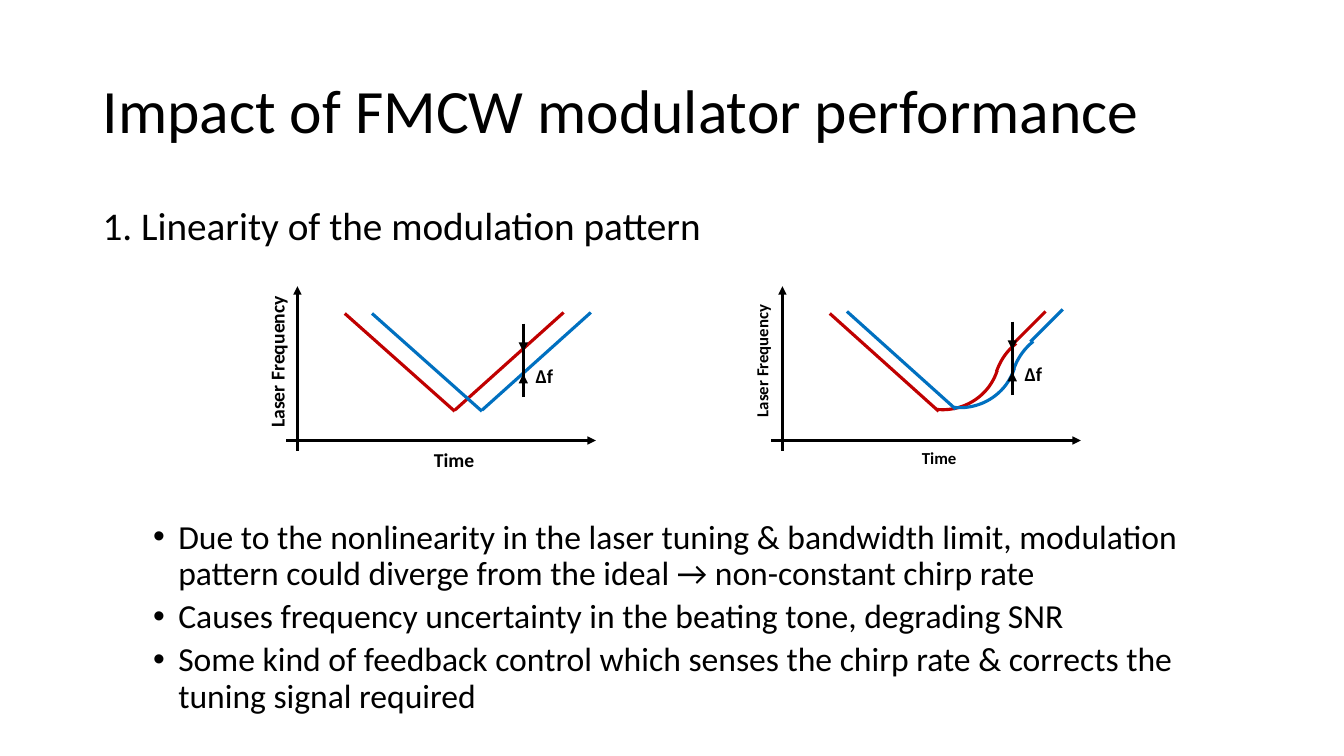
import pptx
import pptx.util
import pptx.dml.color
import pptx.enum.shapes
import pptx.enum.text
from lxml import etree
from pptx.oxml.ns import qn

TITLE = "Impact of FMCW modulator performance"
HEADING = "1. Linearity of the modulation pattern"
BULLETS = [
    "Due to the nonlinearity in the laser tuning & bandwidth limit, modulation "
    "pattern could diverge from the ideal → non-constant chirp rate",
    "Causes frequency uncertainty in the beating tone, degrading SNR",
    "Some kind of feedback control which senses the chirp rate & corrects the "
    "tuning signal required",
]
AXIS_LABELS = ("Laser Frequency", "Time")
DELTA = "Δf"

THEME = dict(font="Calibri", black="000000", sent="C00000", received="0070C0",
             title=44, heading=28, body=24, delta=14, axis_line=2, curve_line=2.25)

# Places inside a plot are measured from the crossing of its axes.
IDEAL_LINES = [(0.47, -1.26, 1.56, -0.29), (2.64, -1.27, 1.56, -0.3)]
REAL_LINES = [(0.47, -1.26, 1.55, -0.29), (2.61, -1.28, 2.29, -0.96)]
# left, top, width, height, rotation, start angle
REAL_ARCS = [(1.03, -1.43, 1.11, 1.14, 96, 281.14),
             (2.09, -1.09, 1.21, 1.2, 231.5, 327.5)]
PLOTS = [
    dict(origin=(2.95, 4.37), lines=IDEAL_LINES, arcs=[], delay=(0.27, 0),
         marker=(2.24, -1.16), label_size=14,
         labels=[(-0.96, -0.95, 1.52, 0.34), (1.25, 0.02, 0.61, 0.34)]),
    dict(origin=(7.76, 4.37), lines=REAL_LINES, arcs=REAL_ARCS, delay=(0.17, -0.02),
         marker=(2.28, -1.18), label_size=12,
         labels=[(-0.87, -0.94, 1.33, 0.3), (1.28, 0.02, 0.55, 0.3)]),
]
# start and end below the top of the marker, arrowhead or not
MARKER_LINES = [(0.73, 0.5, True), (0, 0.28, True), (0.63, 0.16, False)]

WIDTH, HEIGHT = 13.33, 7.5
MARGIN, CONTENT = 0.92, 11.5
ALIGN = pptx.enum.text.PP_ALIGN
Inches, Pt = pptx.util.Inches, pptx.util.Pt


def rgb(value):
    return pptx.dml.color.RGBColor.from_string(value)


def set_attrs(obj, values):
    for name, value in values.items():
        setattr(obj, name, value)


def write(p, text, size, bold=False, **layout):
    set_attrs(p, layout)
    r = p.add_run()
    r.text = text
    set_attrs(r.font, dict(name=THEME["font"], size=Pt(size), bold=bold))
    r.font.color.rgb = rgb(THEME["black"])


def text_box(s, box, wrap=True):
    sp = s.shapes.add_textbox(*map(Inches, box))
    sp.text_frame.word_wrap = wrap
    return sp


def label(s, box, text, size, rotation=0):
    sp = text_box(s, box, wrap=False)
    sp.rotation = rotation
    write(sp.text_frame.paragraphs[0], text, size, True, alignment=ALIGN.CENTER)


def line(s, ends, color, width, arrow=False):
    c = s.shapes.add_connector(pptx.enum.shapes.MSO_CONNECTOR.STRAIGHT,
                               *map(Inches, ends))
    c.line.color.rgb, c.line.width = rgb(color), Pt(width)
    if arrow:
        etree.SubElement(c.line._get_or_add_ln(), qn("a:tailEnd"), type="triangle")
    etree.SubElement(c._element.spPr, qn("a:effectLst"))


def arc(s, box, rotation, start, color):
    sp = s.shapes.add_shape(pptx.enum.shapes.MSO_SHAPE.ARC, *map(Inches, box))
    sp.shadow.inherit = False
    sp.fill.background()
    sp.line.color.rgb, sp.line.width = rgb(color), Pt(THEME["curve_line"])
    sp.rotation = rotation
    # Angles are stored in 60000ths of a degree, adjustments in 100000ths.
    sp.adjustments[0], sp.adjustments[1] = start * 0.6, 0


def plot(s, origin, lines, arcs, delay, marker, label_size, labels):
    x, y = origin
    black = THEME["black"]
    for ends in [(x - 0.11, y, x + 2.96, y), (x, y + 0.1, x, y - 1.53)]:
        line(s, ends, black, THEME["axis_line"], arrow=True)
    for text, (left, top, w, h), turn in zip(AXIS_LABELS, labels, (270, 0)):
        label(s, (x + left, y + top, w, h), text, label_size, turn)

    for color, (dx, dy) in [(THEME["sent"], (0, 0)), (THEME["received"], delay)]:
        cx, cy = x + dx, y + dy
        for x1, y1, x2, y2 in lines:
            line(s, (cx + x1, cy + y1, cx + x2, cy + y2), color, THEME["curve_line"])
        for left, top, w, h, turn, start in arcs:
            arc(s, (cx + left, cy + top, w, h), turn, start, color)

    mx, my = x + marker[0], y + marker[1]
    for start, end, arrow in MARKER_LINES:
        line(s, (mx, my + start, mx, my + end), black, THEME["curve_line"], arrow)
    label(s, (mx + 0.02, my + 0.35, 0.38, 0.34), DELTA, THEME["delta"])


def add_bullet(p):
    pPr = p._p.get_or_add_pPr()
    pPr.set("marL", str(Inches(0.75)))
    pPr.set("indent", str(Inches(-0.25)))
    etree.SubElement(pPr, qn("a:buFont"), typeface="Arial")
    etree.SubElement(pPr, qn("a:buChar"), char="•")


def main():
    prs = pptx.Presentation()
    prs.slide_width, prs.slide_height = Inches(WIDTH), Inches(HEIGHT)
    s = prs.slides.add_slide(prs.slide_layouts[5])

    title = s.shapes.title
    set_attrs(title, dict(left=Inches(MARGIN), top=Inches(0.4),
                          width=Inches(CONTENT), height=Inches(1.45)))
    set_attrs(title.text_frame, dict(
        auto_size=pptx.enum.text.MSO_AUTO_SIZE.NONE, word_wrap=True,
        vertical_anchor=pptx.enum.text.MSO_ANCHOR.MIDDLE))
    write(title.text_frame.paragraphs[0], TITLE, THEME["title"],
          alignment=ALIGN.LEFT, line_spacing=0.9)

    heading = text_box(s, (MARGIN, 2, CONTENT, 0.55))
    write(heading.text_frame.paragraphs[0], HEADING, THEME["heading"], line_spacing=0.9)

    for values in PLOTS:
        plot(s, **values)

    tf = text_box(s, (MARGIN, 5.11, CONTENT, 2.16)).text_frame
    for i, text in enumerate(BULLETS):
        p = tf.add_paragraph() if i else tf.paragraphs[0]
        add_bullet(p)
        write(p, text, THEME["body"], line_spacing=0.9, space_before=Pt(5 if i else 0))

    prs.save("out.pptx")


if __name__ == "__main__":
    main()
